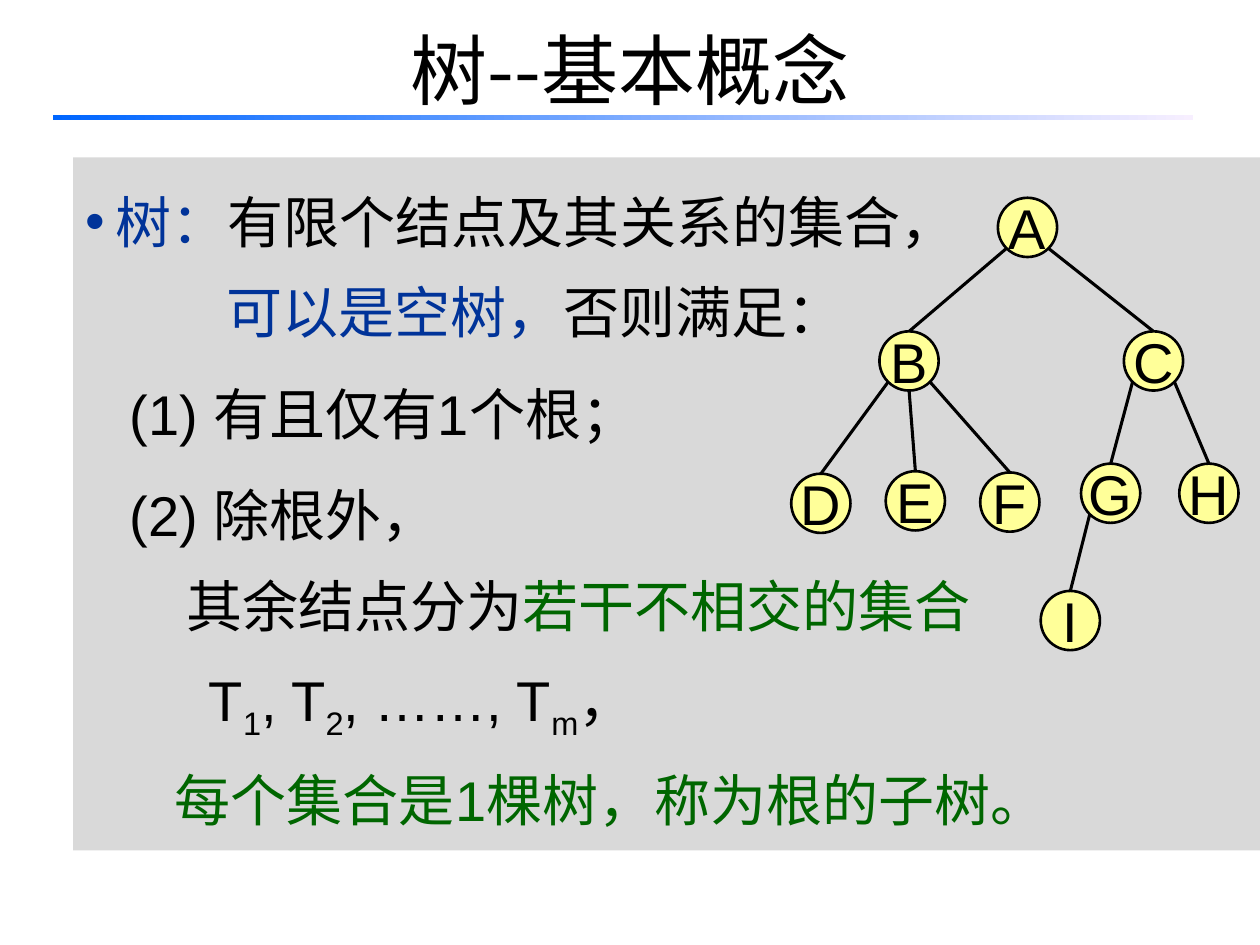
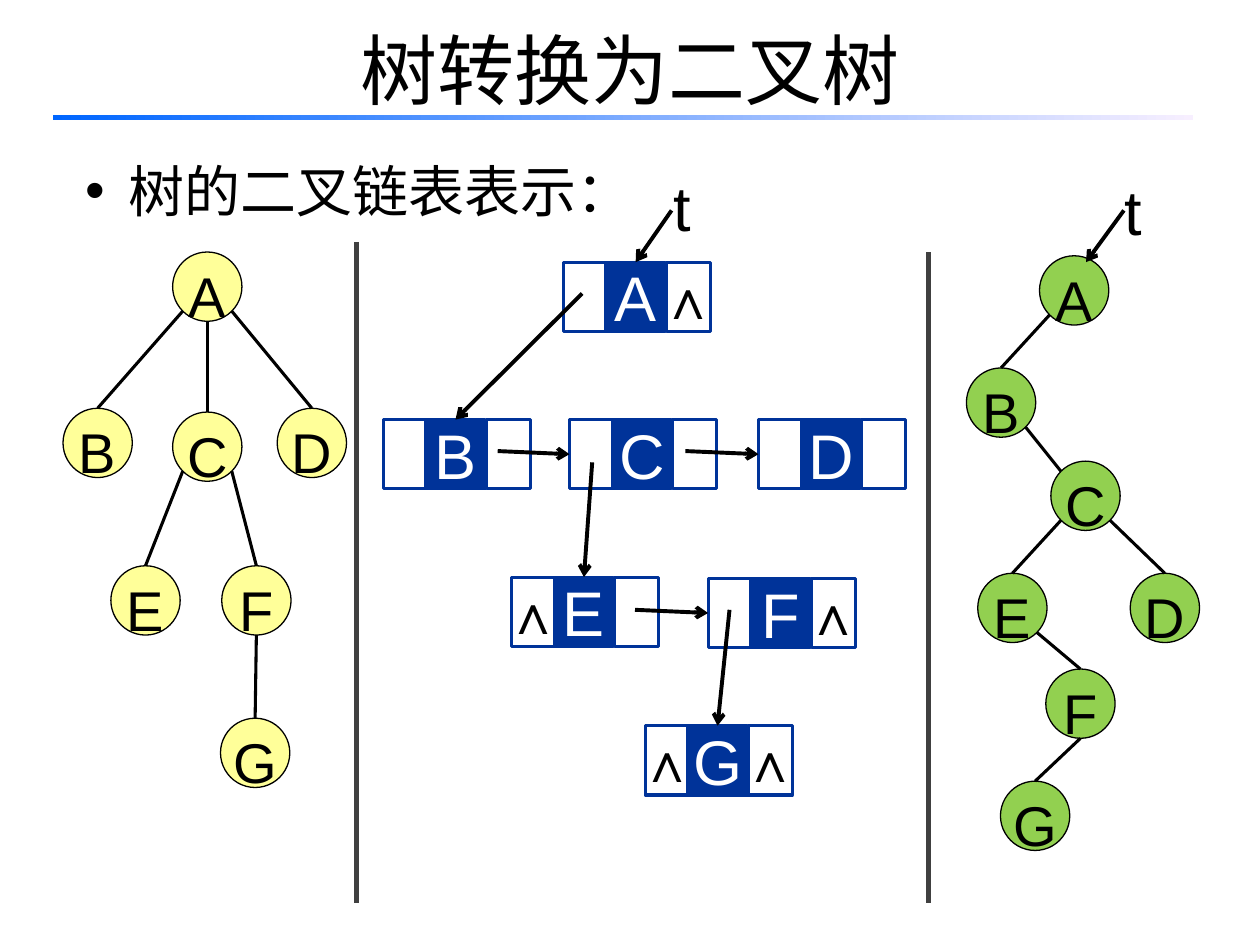
from lxml import etree
from pptx import Presentation
from pptx.dml.color import RGBColor
from pptx.enum.shapes import MSO_CONNECTOR, MSO_SHAPE
from pptx.enum.text import MSO_ANCHOR, PP_ALIGN
from pptx.oxml.ns import qn
from pptx.util import Inches, Pt

COLORS = {
    "ink": "000000", "white": "FFFFFF", "blue": "003399", "green": "006600",
    "panel": "D9D9D9", "yellow": "FFFF99", "lime": "92D050", "divider": "404040",
    "band_start": "0066FF", "band_end": "F7EFFF",
}
BODY_FONT = "Arial"
TITLE_FONT = "Noto Sans CJK SC"
DIAGONAL = 0.707
SIDES = {"left": (-DIAGONAL, DIAGONAL), "down": (0, 1), "right": (DIAGONAL, DIAGONAL)}
CELL_HEIGHT = 0.55
CELLS = ((0, 0.35), (0.34, 0.47), (0.82, 0.35))


def rgb(name):
    return RGBColor.from_string(COLORS[name])


class Deck:
    def __init__(self):
        self.presentation = Presentation()
        self.presentation.slide_width = Inches(10)
        self.presentation.slide_height = Inches(7.5)
        self.slide = None

    def start(self, title):
        self.slide = self.presentation.slides.add_slide(self.presentation.slide_layouts[5])
        heading = self.slide.shapes.title
        heading.left, heading.top = Inches(0.5), Inches(-0.08)
        heading.width, heading.height = Inches(9), Inches(1.25)
        heading.text_frame.vertical_anchor = MSO_ANCHOR.MIDDLE
        paragraph = heading.text_frame.paragraphs[0]
        paragraph.alignment = PP_ALIGN.CENTER
        self.run(paragraph, title, size=44, font=TITLE_FONT)
        band = self.shape(MSO_SHAPE.RECTANGLE, 0.42, 0.91, 9.05, 0.04)
        band.fill.gradient()
        band.fill.gradient_angle = 0
        for stop, color in zip(band.fill.gradient_stops, ("band_start", "band_end")):
            stop.color.rgb = rgb(color)

    def run(self, paragraph, text, color="ink", size=32, font=BODY_FONT, bold=None, sub=False):
        run = paragraph.add_run()
        run.text = text
        run.font.size, run.font.name, run.font.bold = Pt(size), font, bold
        run.font.color.rgb = rgb(color)
        properties = run.font._element
        etree.SubElement(properties, qn("a:ea")).set("typeface", font)
        if sub:
            properties.set("baseline", "-25000")

    def indent(self, paragraph, margin, bullet=False):
        properties = paragraph._p.get_or_add_pPr()
        properties.set("marL", str(Inches(margin)))
        properties.set("indent", str(-Inches(margin) if bullet else 0))
        if bullet:
            etree.SubElement(properties, qn("a:buFont")).set("typeface", BODY_FONT)
            etree.SubElement(properties, qn("a:buChar")).set("char", "•")

    def shape(self, kind, x, y, width, height, fill=None, line=None, weight=1):
        shape = self.slide.shapes.add_shape(
            kind, Inches(x), Inches(y), Inches(width), Inches(height))
        shape.shadow.inherit = False
        if fill:
            shape.fill.solid()
            shape.fill.fore_color.rgb = rgb(fill)
        else:
            shape.fill.background()
        if line:
            shape.line.color.rgb = rgb(line)
            shape.line.width = Pt(weight)
        else:
            shape.line.fill.background()
        return shape

    def label(self, shape, text, spacing=None, **style):
        frame = shape.text_frame
        frame.word_wrap = False
        frame.vertical_anchor = MSO_ANCHOR.MIDDLE
        paragraph = frame.paragraphs[0]
        paragraph.alignment = PP_ALIGN.CENTER
        paragraph.line_spacing = spacing
        self.run(paragraph, text, **style)

    def text(self, x, y, width, height, text, spacing, size=32, bullet_margin=None):
        box = self.slide.shapes.add_textbox(Inches(x), Inches(y), Inches(width), Inches(height))
        box.text_frame.word_wrap = True
        paragraph = box.text_frame.paragraphs[0]
        paragraph.line_spacing = spacing
        if bullet_margin:
            self.indent(paragraph, bullet_margin, bullet=True)
        self.run(paragraph, text, size=size)

    def panel(self, x, y, width, height, lines, spacing):
        frame = self.shape(MSO_SHAPE.RECTANGLE, x, y, width, height, "panel").text_frame
        frame.word_wrap = True
        frame.vertical_anchor = MSO_ANCHOR.TOP
        for index, (margin, before, parts) in enumerate(lines):
            paragraph = frame.add_paragraph() if index else frame.paragraphs[0]
            paragraph.alignment = PP_ALIGN.LEFT
            paragraph.line_spacing = spacing
            if before:
                paragraph.space_before = Pt(before)
            self.indent(paragraph, margin, bullet=index == 0)
            for text, color, *sub in parts:
                self.run(paragraph, text, color, sub=bool(sub))

    def line(self, start, end, weight=1.75, color="ink", arrow=False, target=None, site=0):
        line = self.slide.shapes.add_connector(
            MSO_CONNECTOR.STRAIGHT, *(Inches(value) for value in (*start, *end)))
        line.line.color.rgb = rgb(color)
        line.line.width = Pt(weight)
        if arrow:
            etree.SubElement(line.line._get_or_add_ln(), qn("a:tailEnd")).set("type", "arrow")
        etree.SubElement(line._element.spPr, qn("a:effectLst"))
        if target is not None:
            line.end_connect(target, site)

    def tree(self, nodes, edges, size, fill, weight, spacing=None):
        radius = size / 2
        circles = {}
        for name, (x, y) in nodes.items():
            circles[name] = self.shape(MSO_SHAPE.OVAL, x, y, size, size, fill, "ink", weight)
            self.label(circles[name], name, spacing)

        def rim(name, dx, dy):
            x, y = nodes[name]
            return x + radius * (1 + dx), y + radius * (1 + dy)

        for parent, side, child in edges:
            self.line(rim(parent, *SIDES[side]), rim(child, 0, -1), target=circles[child])
        return rim

    def record(self, x, y, name, empty_links):
        cells = [self.shape(MSO_SHAPE.RECTANGLE, x + offset, y, width, CELL_HEIGHT,
                            "blue" if index == 1 else None, "blue", 1.75)
                 for index, (offset, width) in enumerate(CELLS)]
        self.label(cells[1], name, color="white", size=36)
        for index in empty_links:
            self.label(cells[index], "∧", bold=True)
        return cells


def concept_slide(deck):
    deck.start("树--基本概念")
    deck.panel(0.58, 1.25, 9.42, 5.5, [
        (0.24, 0, [("树：", "blue"), ("有限个结点及其关系的集合，", "ink")]),
        (1.12, 0, [("可以是空树，", "blue"), ("否则满足：", "ink")]),
        (0.35, 6, [("(1) 有且仅有1个根；", "ink")]),
        (0.35, 6, [("(2) 除根外，", "ink")]),
        (0.8, 0, [("其余结点分为", "ink"), ("若干不相交的集合", "green")]),
        (0.98, 0, [("T", "ink"), ("1", "ink", True), (", T", "ink"), ("2", "ink", True),
                   (", ……, T", "ink"), ("m", "ink", True), ("，", "ink")]),
        (0.71, 0, [("每个集合是1棵树，称为根的子树。", "green")]),
    ], 1.35)
    nodes = {
        "A": (7.92, 1.57), "B": (6.98, 2.63), "C": (8.92, 2.63),
        "D": (6.28, 3.76), "E": (7.03, 3.74), "F": (7.78, 3.75),
        "G": (8.58, 3.68), "H": (9.36, 3.68), "I": (8.26, 4.69),
    }
    edges = [
        ("A", "left", "B"), ("A", "right", "C"), ("B", "left", "D"), ("B", "down", "E"),
        ("B", "right", "F"), ("C", "left", "G"), ("C", "right", "H"), ("G", "left", "I"),
    ]
    deck.tree(nodes, edges, 0.47, "yellow", 1.5)


def conversion_slide(deck):
    deck.start("树转换为二叉树")
    deck.text(0.58, 1.14, 9.17, 0.69, "树的二叉链表表示：", 1.1, bullet_margin=0.34)
    for x, top in ((2.83, 1.92), (7.37, 2)):
        deck.line((x, top), (x, 7.17), 3, "divider")

    general = {"A": (1.37, 2), "B": (0.5, 3.24), "C": (1.37, 3.27), "D": (2.2, 3.24),
               "E": (0.88, 4.49), "F": (1.76, 4.49), "G": (1.75, 5.7)}
    deck.tree(general, [
        ("A", "left", "B"), ("A", "down", "C"), ("A", "right", "D"),
        ("C", "left", "E"), ("C", "right", "F"), ("F", "down", "G"),
    ], 0.55, "yellow", 0.75, 1.25)

    records = {name: deck.record(x, y, name, empty_links) for name, x, y, empty_links in (
        ("A", 4.47, 2.08, (2,)), ("B", 3.04, 3.33, ()), ("C", 4.52, 3.33, ()),
        ("D", 6.02, 3.33, ()), ("E", 4.06, 4.58, (0,)), ("F", 5.62, 4.59, (2,)),
        ("G", 5.12, 5.76, (0, 2)))}
    child_links = (((5.33, 1.67), "A"), ((4.62, 2.33), "B"), ((4.7, 3.67), "E"),
                   ((5.79, 4.84), "G"))
    sibling_links = (((3.95, 3.58), "C"), ((5.44, 3.58), "D"), ((5.04, 4.84), "F"))
    for links, cell, site in ((child_links, 1, 0), (sibling_links, 0, 1)):
        for start, name in links:
            deck.line(start, start, 2.25, arrow=True, target=records[name][cell], site=site)

    binary = {"A": (8.25, 2.03), "B": (7.67, 2.92), "C": (8.34, 3.66), "D": (8.97, 4.55),
              "E": (7.76, 4.55), "F": (8.3, 5.31), "G": (7.94, 6.2)}
    rim = deck.tree(binary, [
        ("A", "left", "B"), ("C", "left", "E"), ("C", "right", "D"),
        ("E", "right", "F"), ("F", "down", "G"),
    ], 0.55, "lime", 0.75, 1.25)
    deck.line(rim("B", *SIDES["right"]), rim("C", -DIAGONAL, -DIAGONAL))
    deck.line((8.92, 1.67), (8.62, 2.08), 2.25, arrow=True)
    for x, y in ((5.25, 1.05), (8.83, 1.08)):
        deck.text(x, y, 1.75, 0.95, "t", 1.4, 36)


def main():
    deck = Deck()
    concept_slide(deck)
    conversion_slide(deck)
    deck.presentation.save("out.pptx")


if __name__ == "__main__":
    main()
